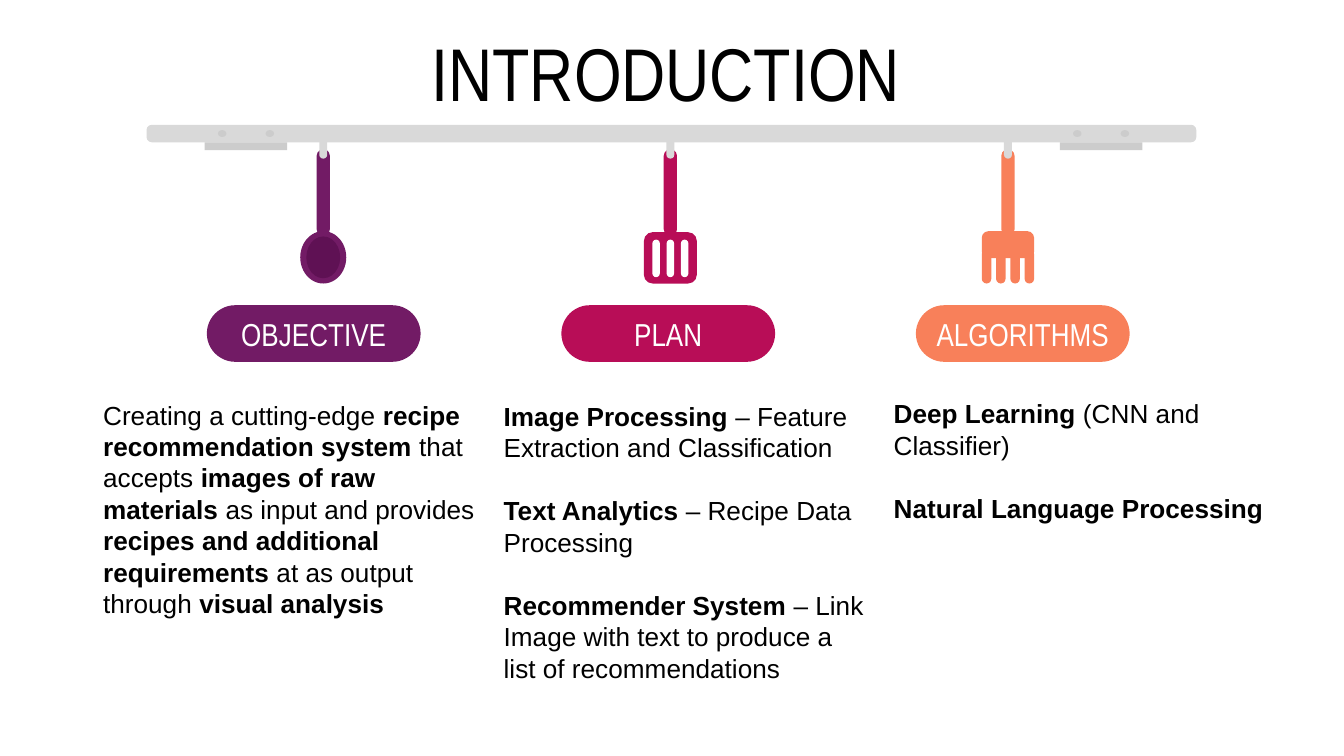
"""Build the introduction slide with three kitchen utensils on a rail."""
from pptx import Presentation
from pptx.dml.color import RGBColor
from pptx.enum.shapes import MSO_SHAPE as Form
from pptx.enum.text import MSO_ANCHOR as Anchor, MSO_AUTO_SIZE as AutoSize, PP_ALIGN as Align
from pptx.util import Cm, Pt

COLORS = {
    "black": "000000", "white": "FFFFFF", "rail": "D9D9D9", "bracket": "CCCCCC",
    "purple": "721B65", "bowl": "5F1154", "red": "B80D57", "orange": "F8805A",
}
HEADINGS = [("OBJECTIVE", "purple"), ("PLAN", "red"), ("ALGORITHMS", "orange")]
SPOON, SPATULA, FORK = UTENSILS = [6.11, 12.67, 19.05]
BODIES = [
    (1.7, 7.42, 7.82, 5.05, 0, [
        [("Creating a cutting-edge ", False), ("recipe", True), "break",
         ("recommendation system ", True), ("that", False)],
        [("accepts ", False), ("images of raw materials ", True),
         ("as input and provides ", False),
         ("recipes and additional requirements ", True),
         ("at as output through ", False), ("visual analysis", True)],
    ]),
    (9.27, 7.44, 7.37, 5.64, 17, [
        [("Image Processing ", True), ("– Feature Extraction and Classification", False)],
        [("Text Analytics ", True), ("– Recipe Data Processing", False)],
        [("Recommender System ", True),
         ("– Link Image with text to produce a list of recommendations", False)],
    ]),
    (16.64, 7.39, 8.36, 3.84, 17, [
        [("Deep Learning ", True), ("(CNN and Classifier)", False)],
        [("Natural Language Processing", True)],
    ]),
]


def add_form(form, center, top, width, height, color, corner=None):
    shape = page.shapes.add_shape(
        form, Cm(center - width / 2), Cm(top), Cm(width), Cm(height))
    shape.shadow.inherit = False
    shape.fill.solid()
    shape.fill.fore_color.rgb = RGBColor.from_string(COLORS[color])
    shape.line.fill.background()
    if corner is not None:
        shape.adjustments[0] = corner
    return shape


def add_span(para, text, size, font, color, bold=False):
    span = para.add_run()
    span.text = text
    span.font.size = Pt(size)
    span.font.name = font
    span.font.bold = bold
    span.font.color.rgb = RGBColor.from_string(COLORS[color])


deck = Presentation()
deck.slide_width, deck.slide_height = Cm(25.4), Cm(14.29)
page = deck.slides.add_slide(deck.slide_layouts[5])

title = page.shapes.title
title.left, title.top, title.width, title.height = Cm(6.4), Cm(0.38), Cm(12.37), Cm(1.96)
title.text_frame.auto_size = AutoSize.NONE
title.text_frame.vertical_anchor = Anchor.TOP
title_para = title.text_frame.paragraphs[0]
title_para.alignment = Align.CENTER
add_span(title_para, "INTRODUCTION", 40, "Arial Narrow", "black")

add_form(Form.ROUNDED_RECTANGLE, 12.69, 2.36, 19.84, 0.33, "rail", 0.3)
for bracket in (4.65, 20.81):
    add_form(Form.RECTANGLE, bracket, 2.69, 1.56, 0.15, "bracket")
    for screw in (bracket - 0.45, bracket + 0.45):
        add_form(Form.OVAL, screw, 2.46, 0.16, 0.13, "bracket")

for center, (_, color) in zip(UTENSILS, HEADINGS):
    add_form(Form.ROUNDED_RECTANGLE, center, 2.82, 0.25, 1.64, color, 0.5)
    add_form(Form.ROUNDED_RECTANGLE, center, 2.59, 0.15, 0.41, "rail", 0.5)

add_form(Form.OVAL, SPOON, 4.37, 0.87, 0.99, "purple")
add_form(Form.OVAL, SPOON, 4.47, 0.64, 0.79, "bowl")

add_form(Form.ROUNDED_RECTANGLE, SPATULA, 4.39, 1, 0.97, "red", 0.17)
for slot in (-1, 0, 1):
    add_form(Form.ROUNDED_RECTANGLE, SPATULA + slot * 0.27, 4.53, 0.14, 0.71, "white", 0.5)

add_form(Form.ROUNDED_RECTANGLE, FORK, 4.37, 0.99, 0.51, "orange", 0.25)
for prong in (-1.5, -0.5, 0.5, 1.5):
    add_form(Form.ROUNDED_RECTANGLE, FORK + prong * 0.27, 4.72, 0.18, 0.64, "orange", 0.5)

for index, (heading, color) in enumerate(HEADINGS):
    pill = add_form(Form.ROUNDED_RECTANGLE, 5.93 + index * 6.7, 5.77, 4.04, 1.07, color, 0.5)
    pill.text_frame.word_wrap = False
    pill.text_frame.vertical_anchor = Anchor.MIDDLE
    para = pill.text_frame.paragraphs[0]
    para.alignment = Align.CENTER
    add_span(para, heading, 17, "Arial Narrow", "white")

for left, top, width, height, gap, paragraphs in BODIES:
    box = page.shapes.add_textbox(Cm(left), Cm(top), Cm(width), Cm(height))
    frame = box.text_frame
    frame.word_wrap = True
    for index, spans in enumerate(paragraphs):
        para = frame.add_paragraph() if index else frame.paragraphs[0]
        if index:
            para.space_before = Pt(gap)
        for span in spans:
            if span == "break":
                para.add_line_break()
            else:
                add_span(para, span[0], 14, "Arial", "black", span[1])

deck.save("out.pptx")
